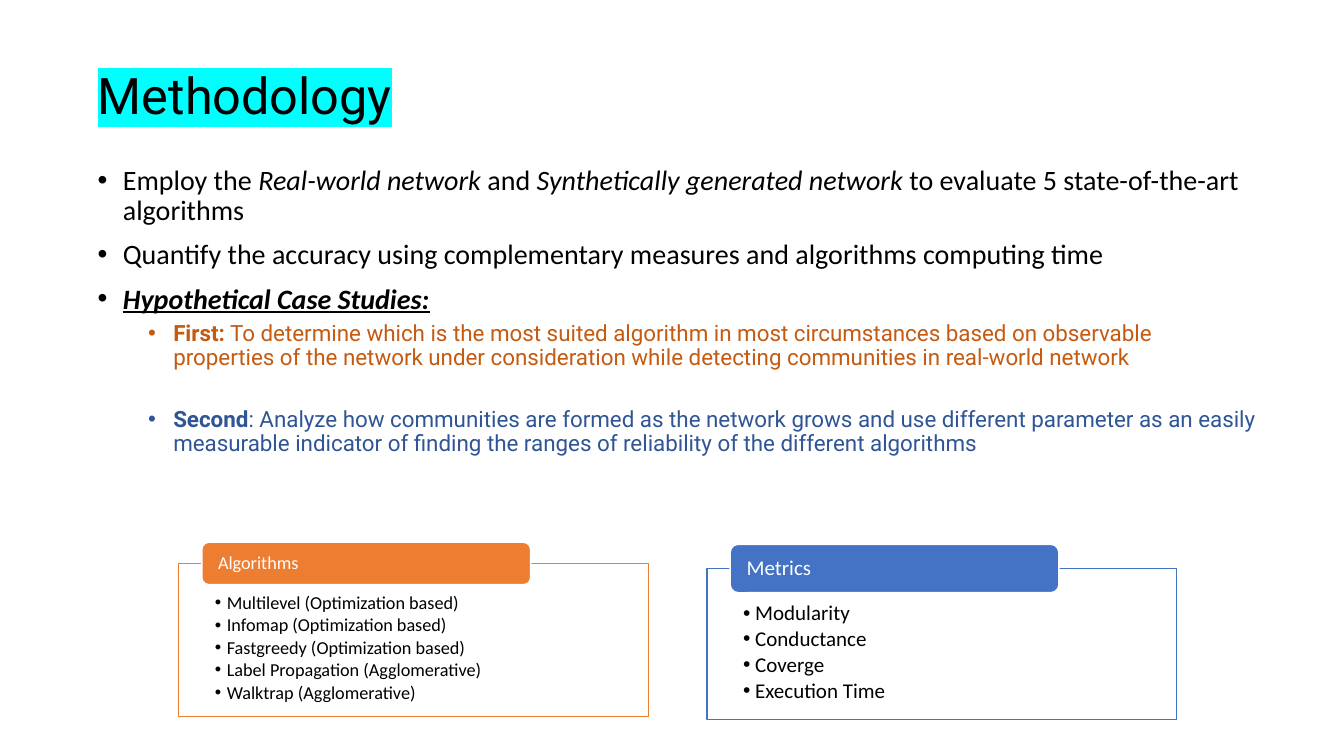
from lxml import etree
from pptx import Presentation
from pptx.dml.color import RGBColor
from pptx.enum.shapes import MSO_SHAPE
from pptx.enum.text import MSO_ANCHOR, PP_ALIGN
from pptx.oxml.ns import qn
from pptx.util import Inches, Pt

RECTANGLE, ROUNDED = MSO_SHAPE.RECTANGLE, MSO_SHAPE.ROUNDED_RECTANGLE
TOP, MIDDLE, LEFT = MSO_ANCHOR.TOP, MSO_ANCHOR.MIDDLE, PP_ALIGN.LEFT
BLACK = RGBColor(0x00, 0x00, 0x00)
WHITE = RGBColor(0xFF, 0xFF, 0xFF)
CYAN = RGBColor(0x00, 0xFF, 0xFF)
ORANGE = RGBColor(0xED, 0x7D, 0x31)
BLUE = RGBColor(0x44, 0x72, 0xC4)
RUST = RGBColor(0xC5, 0x5A, 0x11)
NAVY = RGBColor(0x2F, 0x55, 0x97)
SLIDE_WIDTH, SLIDE_HEIGHT = Inches(13.33), Inches(7.5)
TITLE_PLACE = (6.53, 3.33, 86.27, 19.33)
BODY_PLACE = (6.53, 21.33, 87.85, 63.47)
PANEL_WIDTH, TAB_WIDTH, TAB_OFFSET = 34.96, 24.46, 1.74

GOALS = [
    [("Employ the ", ""), ("Real-world network", "i"), (" and ", ""),
     ("Synthetically generated network", "i"),
     (" to evaluate 5 state-of-the-art algorithms", "")],
    [("Quantify the accuracy using complementary measures and algorithms computing time", "")],
    [("Hypothetical Case Studies:", "biu")],
]
CASES = [
    (RUST, 5, "First:",
     " To determine which is the most suited algorithm in most circumstances based on "
     "observable properties of the network under consideration while detecting "
     "communities in real-world network"),
    (NAVY, 27, "Second",
     ": Analyze how communities are formed as the network grows and use different "
     "parameter as an easily measurable indicator of finding the ranges of reliability "
     "of the different algorithms"),
]
ALGORITHMS = ["Multilevel (Optimization based)", "Infomap (Optimization based)",
              "Fastgreedy (Optimization based)", "Label Propagation (Agglomerative)",
              "Walktrap (Agglomerative)"]
METRICS = ["Modularity", "Conductance", "Coverge", "Execution Time"]


def place(left, top, width, height):
    return (int(SLIDE_WIDTH * left / 100), int(SLIDE_HEIGHT * top / 100),
            int(SLIDE_WIDTH * width / 100), int(SLIDE_HEIGHT * height / 100))


def style_run(run, size, color, face="Calibri", marks=""):
    font = run.font
    font.size, font.name = Pt(size), face
    font.color.rgb = color
    font.bold, font.italic, font.underline = (mark in marks for mark in "biu")


def set_bullet(paragraph, level, margin, hang):
    properties = paragraph._p.get_or_add_pPr()
    properties.set("marL", str(Inches(margin)))
    properties.set("indent", str(-Inches(hang)))
    etree.SubElement(properties, qn("a:buFont")).set("typeface", "Arial")
    etree.SubElement(properties, qn("a:buChar")).set("char", "•")
    paragraph.level = level
    paragraph.line_spacing = 0.9
    paragraph.alignment = LEFT


def next_paragraph(frame, index):
    return frame.add_paragraph() if index else frame.paragraphs[0]


def add_title(slide, heading):
    title = slide.shapes.title
    title.left, title.top, title.width, title.height = place(*TITLE_PLACE)
    frame = title.text_frame
    frame.text = heading
    frame.vertical_anchor = MIDDLE
    line = frame.paragraphs[0]
    line.alignment, line.line_spacing = LEFT, 0.9
    run = line.runs[0]
    style_run(run, 36, BLACK, "Roboto")
    highlight = etree.Element(qn("a:highlight"))
    etree.SubElement(highlight, qn("a:srgbClr")).set("val", str(CYAN))
    run.font._element.find(qn("a:solidFill")).addnext(highlight)


def add_body(slide):
    frame = slide.shapes.add_textbox(*place(*BODY_PLACE)).text_frame
    frame.word_wrap = True
    for index, pieces in enumerate(GOALS):
        goal = next_paragraph(frame, index)
        set_bullet(goal, 0, 0.25, 0.25)
        goal.space_before = Pt(10 if index else 0)
        for words, marks in pieces:
            run = goal.add_run()
            run.text = words
            style_run(run, 20, BLACK, marks=marks)
    for color, gap, label, aim in CASES:
        case = frame.add_paragraph()
        set_bullet(case, 1, 0.75, 0.25)
        case.space_before = Pt(gap)
        for words, marks in ((label, "b"), (aim, "")):
            run = case.add_run()
            run.text = words
            style_run(run, 16, color, "Roboto", marks)


def add_block(slide, kind, area, fill, outline, insets, anchor):
    block = slide.shapes.add_shape(kind, *place(*area))
    block.shadow.inherit = False
    block.fill.solid()
    block.fill.fore_color.rgb = fill
    block.line.color.rgb = outline
    block.line.width = Pt(1)
    frame = block.text_frame
    frame.word_wrap = True
    frame.vertical_anchor = anchor
    side, frame.margin_top, frame.margin_bottom = (Inches(inset) for inset in insets)
    frame.margin_left = frame.margin_right = side
    return block


def add_panel(slide, heading, entries, color, size, left, top, height, tab_top, tab_height, inset):
    panel = add_block(slide, RECTANGLE, (left, top, PANEL_WIDTH, height),
                      WHITE, color, (0.36, inset, 0.1), TOP)
    white = panel.fill._xPr.find(qn("a:solidFill"))[0]
    etree.SubElement(white, qn("a:alpha")).set("val", "90000")
    for index, entry in enumerate(entries):
        item = next_paragraph(panel.text_frame, index)
        item.text = entry
        set_bullet(item, 1, 0.12, 0.12)
        item.space_after = Pt(size * 0.15)
        style_run(item.runs[0], size, BLACK)
    tab = add_block(slide, ROUNDED, (left + TAB_OFFSET, tab_top, TAB_WIDTH, tab_height),
                    color, WHITE, (0.14, 0, 0), MIDDLE)
    tab.text_frame.text = heading
    label = tab.text_frame.paragraphs[0]
    label.alignment, label.line_spacing = LEFT, 0.9
    style_run(label.runs[0], size, WHITE)


def main():
    deck = Presentation()
    deck.slide_width, deck.slide_height = SLIDE_WIDTH, SLIDE_HEIGHT
    slide = deck.slides.add_slide(deck.slide_layouts[5])
    add_title(slide, "Methodology")
    add_body(slide)
    add_panel(slide, "Algorithms", ALGORITHMS, ORANGE, 13,
              13.28, 74.53, 20.27, 71.73, 5.6, 0.3)
    add_panel(slide, "Metrics", METRICS, BLUE, 15,
              52.59, 75.2, 20, 72, 6.4, 0.34)
    deck.save("out.pptx")


if __name__ == "__main__":
    main()
